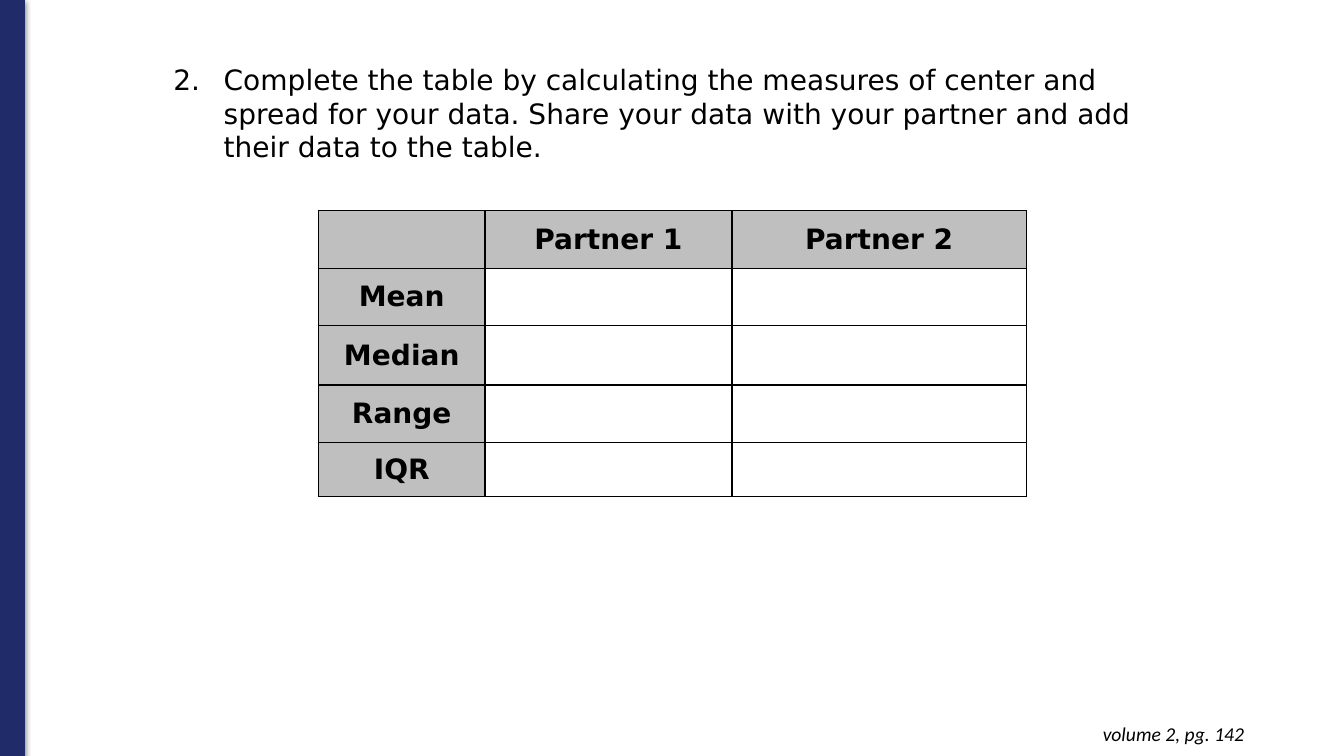
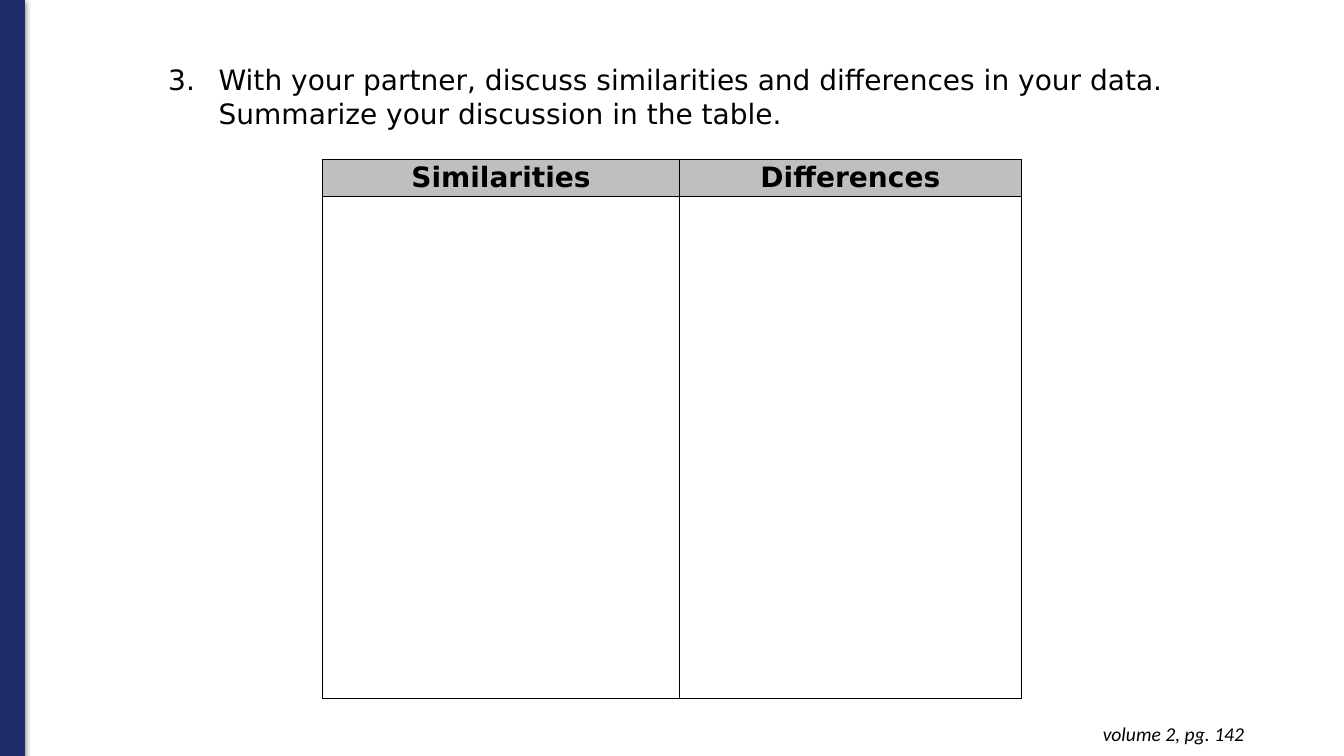
import pptx
import pptx.dml.color
import pptx.enum.shapes
import pptx.enum.text
import pptx.oxml
import pptx.oxml.ns
import pptx.util

# Content: lengths in px, 100 px to the inch
SLIDES = [
    {
        "number": 2,
        "task": "Complete the table by calculating the measures of center and spread "
                "for your data. Share your data with your partner and add their data "
                "to the table.",
        "task_area": (162, 57, 1025, 112),
        "corner": (316, 209),
        "columns": [165, 245, 292],
        "rows": [57, 57, 59, 57, 54],
        "header": ["", "Partner 1", "Partner 2"],
        "labels": ["Mean", "Median", "Range", "IQR"],
        "margin": 7,
    },
    {
        "number": 3,
        "task": "With your partner, discuss similarities and differences in your data. "
                "Summarize your discussion in the table.",
        "task_area": (157, 57, 1037, 101),
        "corner": (320, 158),
        "columns": [354, 339],
        "rows": [37, 498],
        "header": ["Similarities", "Differences"],
        "labels": [],
        "margin": 6,
    },
]
FOOTER = "volume 2, pg. 142"

# Shared style
NAVY, GRAY, BLACK, WHITE = "202B6A", "BFBFBF", "000000", "FFFFFF"
BODY_FONT, FOOTER_FONT = "DejaVu Sans", "Calibri"
BAND_AREA = (0, 0, 24, 751)
FOOTER_AREA = (956, 706, 288, 44)
ALIGN = pptx.enum.text.PP_ALIGN


def px(length):
    return pptx.util.Emu(length * 9144)


def color(code):
    return pptx.dml.color.RGBColor.from_string(code)


def add_xml(parent, body):
    namespace = pptx.oxml.ns.nsdecls("a")
    parent.append(pptx.oxml.parse_xml(body.replace(">", f" {namespace}>", 1)))


def add_span(para, text, font=BODY_FONT, size=20, bold=False, italic=False):
    span = para.add_run()
    span.text = text
    span.font.name = font
    span.font.size = pptx.util.Pt(size)
    span.font.bold = bold
    span.font.italic = italic
    span.font.color.rgb = color(BLACK)


def add_box(page, area, inset):
    frame = page.shapes.add_textbox(*map(px, area)).text_frame
    frame.word_wrap = True
    frame.margin_left = frame.margin_right = px(10)
    frame.margin_top = frame.margin_bottom = px(inset)
    return frame.paragraphs[0]


def add_band(page):
    band = page.shapes.add_shape(
        pptx.enum.shapes.MSO_SHAPE.RECTANGLE, *map(px, BAND_AREA))
    band.fill.solid()
    band.fill.fore_color.rgb = color(NAVY)
    band.line.color.rgb = color(NAVY)
    band.line.width = pptx.util.Pt(0.75)
    add_xml(band._element.spPr,
            '<a:effectLst><a:outerShdw blurRad="57150" dist="19050" dir="5400000" '
            f'algn="ctr" rotWithShape="0"><a:srgbClr val="{BLACK}">'
            '<a:alpha val="50000"/></a:srgbClr></a:outerShdw></a:effectLst>')


def add_task(page, content):
    para = add_box(page, content["task_area"], 5)
    props = para._p.get_or_add_pPr()
    props.set("marL", str(px(50)))
    props.set("indent", str(px(-50)))
    add_xml(props, f'<a:buClr><a:srgbClr val="{BLACK}"/></a:buClr>')
    add_xml(props, f'<a:buFont typeface="{BODY_FONT}"></a:buFont>')
    add_xml(props, f'<a:buAutoNum type="arabicPeriod" startAt="{content["number"]}">'
                   '</a:buAutoNum>')
    add_span(para, content["task"])


def style_cell(cell, text, shaded, margin):
    props = cell._tc.get_or_add_tcPr()
    for side in "LRTB":
        add_xml(props, f'<a:ln{side} w="12700"><a:solidFill><a:srgbClr val="{BLACK}"/>'
                       f'</a:solidFill></a:ln{side}>')
    if shaded:
        cell.fill.solid()
        cell.fill.fore_color.rgb = color(GRAY)
    else:
        cell.fill.background()
    if text:
        cell.margin_left = cell.margin_right = px(margin)
        cell.margin_top = cell.margin_bottom = 0
        cell.vertical_anchor = pptx.enum.text.MSO_ANCHOR.MIDDLE
        para = cell.text_frame.paragraphs[0]
        para.alignment = ALIGN.CENTER
        add_span(para, text, bold=True)


def add_grid(page, content):
    columns, rows = content["columns"], content["rows"]
    area = (*content["corner"], sum(columns), sum(rows))
    grid = page.shapes.add_table(len(rows), len(columns), *map(px, area)).table
    grid.first_row = grid.horz_banding = False
    for column, width in zip(grid.columns, columns):
        column.width = px(width)
    for row, height in zip(grid.rows, rows):
        row.height = px(height)
    # Header row across the top, labels down the first column
    texts = {(0, c): text for c, text in enumerate(content["header"])}
    texts.update({(r, 0): text for r, text in enumerate(content["labels"], 1)})
    for r in range(len(rows)):
        for c in range(len(columns)):
            style_cell(grid.cell(r, c), texts.get((r, c)), (r, c) in texts,
                       content["margin"])


def add_footer(page):
    para = add_box(page, FOOTER_AREA, 10)
    para.alignment = ALIGN.RIGHT
    add_span(para, FOOTER, FOOTER_FONT, 14, italic=True)


def main():
    deck = pptx.Presentation()
    deck.slide_width, deck.slide_height = px(1333), px(750)
    for content in SLIDES:
        page = deck.slides.add_slide(deck.slide_layouts[6])
        page.background.fill.solid()
        page.background.fill.fore_color.rgb = color(WHITE)
        add_band(page)
        add_task(page, content)
        add_grid(page, content)
        add_footer(page)
    deck.save("out.pptx")


if __name__ == "__main__":
    main()
